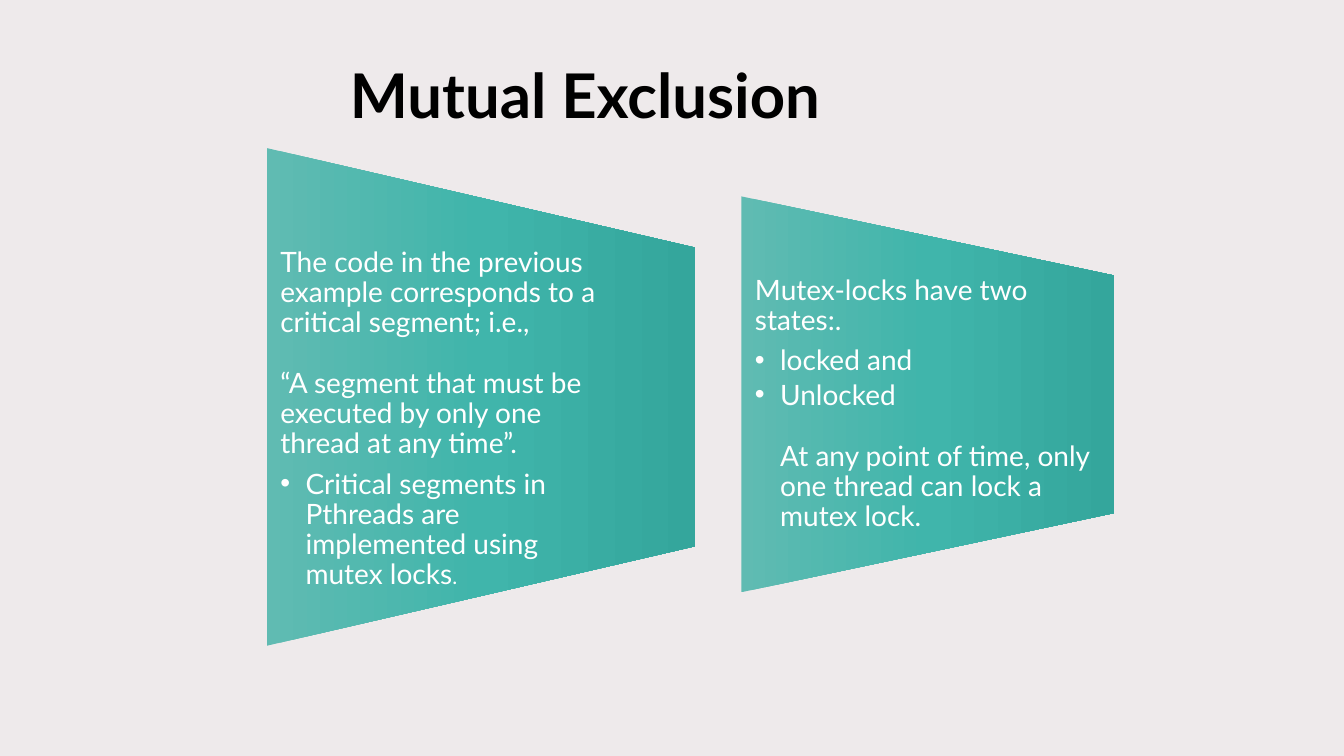
import copy
from dataclasses import dataclass

import lxml.etree
import pptx
import pptx.dml.color
import pptx.enum.dml
import pptx.enum.shapes
import pptx.enum.text
import pptx.oxml.ns
import pptx.util

EMU_PER_PX = 9525
SLIDE_W, SLIDE_H = 1280, 720
FONT = "Lato"
GRADIENT = ((0, "60BBB2"), (0.5, "40B5AB"), (1, "34A69C"))
INDENT = 24
INSET = 13


@dataclass(frozen=True)
class Box:
    left: int
    top: int
    width: int
    height: int


@dataclass(frozen=True)
class Line:
    runs: tuple[tuple[str, int], ...]  # wording and size in points
    indented: bool = False
    bullet: bool = False
    before: int = 0
    after: int = 0


@dataclass(frozen=True)
class Panel:
    trapezoid: Box  # before the quarter turn
    wording: Box
    lines: tuple[Line, ...]


PANELS = (
    Panel(Box(221, 174, 474, 408), Box(254, 236, 343, 284), (
        Line((("The code in the previous example corresponds to a "
               "critical segment; i.e.,", 20),)),
        Line((("“A segment that must be executed by only one thread "
               "at any time”.", 20),), before=22, after=7),
        Line((("Critical segments in Pthreads are implemented using mutex locks", 20),
              (".", 15)), indented=True, bullet=True),
    )),
    Panel(Box(695, 198, 377, 355), Box(706, 263, 355, 227), (
        Line((("Mutex-locks have two states:.", 20),), after=7),
        Line((("locked and", 20),), indented=True, bullet=True, after=3),
        Line((("Unlocked", 20),), indented=True, bullet=True),
        Line((("At any point of time, only one thread can lock a mutex lock.", 20),),
             indented=True, before=22),
    )),
)


def px(length: int) -> pptx.util.Emu:
    return pptx.util.Emu(length * EMU_PER_PX)


def rgb(value: str) -> pptx.dml.color.RGBColor:
    return pptx.dml.color.RGBColor.from_string(value)


def place(shape, box: Box) -> None:
    shape.left, shape.top = px(box.left), px(box.top)
    shape.width, shape.height = px(box.width), px(box.height)


def add_preset(slide, kind, box: Box):
    shape = slide.shapes.add_shape(
        kind, px(box.left), px(box.top), px(box.width), px(box.height))
    shape.shadow.inherit = False
    shape.line.fill.background()
    return shape


def add_backdrop(slide, color: str, opacity: int) -> None:
    backdrop = add_preset(slide, pptx.enum.shapes.MSO_SHAPE.RECTANGLE,
                          Box(0, 0, SLIDE_W, SLIDE_H))
    backdrop.fill.solid()
    backdrop.fill.fore_color.rgb = rgb(color)
    if opacity < 100:
        tint = next(backdrop.element.iter(pptx.oxml.ns.qn("a:srgbClr")))
        lxml.etree.SubElement(tint, pptx.oxml.ns.qn("a:alpha"), val=str(opacity * 1000))


def add_trapezoid(slide, box: Box) -> None:
    trapezoid = add_preset(
        slide, pptx.enum.shapes.MSO_SHAPE.FLOWCHART_MANUAL_OPERATION, box)
    trapezoid.rotation = 270
    trapezoid.fill.gradient()
    trapezoid.fill.gradient_angle = 270
    # The default gradient has two stops; a third is needed
    stop_list = next(trapezoid.element.iter(pptx.oxml.ns.qn("a:gsLst")))
    stop_list.append(copy.deepcopy(stop_list[-1]))
    for stop, (position, color) in zip(trapezoid.fill.gradient_stops, GRADIENT):
        stop.position = position
        stop.color.rgb = rgb(color)


def add_run(paragraph, wording: str, size: int, color: str, bold: bool = False) -> None:
    run = paragraph.add_run()
    run.text = wording
    run.font.name = FONT
    run.font.size = pptx.util.Pt(size)
    run.font.bold = bold
    run.font.color.rgb = rgb(color)


def prepare_frame(placeholder, anchor):
    frame = placeholder.text_frame
    frame.word_wrap = True
    frame.auto_size = pptx.enum.text.MSO_AUTO_SIZE.NONE
    frame.vertical_anchor = anchor
    return frame


def write_line(paragraph, line: Line) -> None:
    properties = paragraph._p.get_or_add_pPr()
    properties.set("marL", str(px(INDENT if line.indented else 0)))
    properties.set("indent", str(px(-INDENT if line.bullet else 0)))
    if line.bullet:
        lxml.etree.SubElement(properties, pptx.oxml.ns.qn("a:buChar"), char="•")
    else:
        lxml.etree.SubElement(properties, pptx.oxml.ns.qn("a:buNone"))
    paragraph.line_spacing = 0.9
    paragraph.space_before = pptx.util.Pt(line.before)
    paragraph.space_after = pptx.util.Pt(line.after)
    for wording, size in line.runs:
        add_run(paragraph, wording, size, "FFFFFF")


def fill_title(slide, title) -> None:
    slide.shapes._spTree.append(title.element)  # bring in front of the backdrop
    place(title, Box(179, 0, 771, 187))
    frame = prepare_frame(title, pptx.enum.text.MSO_ANCHOR.MIDDLE)
    heading = frame.paragraphs[0]
    heading.alignment = pptx.enum.text.PP_ALIGN.CENTER
    heading.line_spacing = 0.9
    add_run(heading, "Mutual Exclusion ", 44, "000000", bold=True)


def fill_panel(slide, body, panel: Panel) -> None:
    add_trapezoid(slide, panel.trapezoid)
    slide.shapes._spTree.append(body.element)  # bring in front of the trapezoid
    place(body, panel.wording)
    frame = prepare_frame(body, pptx.enum.text.MSO_ANCHOR.TOP)
    frame.margin_left = frame.margin_right = px(INSET)
    frame.margin_top = frame.margin_bottom = 0
    for index, line in enumerate(panel.lines):
        paragraph = frame.add_paragraph() if index else frame.paragraphs[0]
        write_line(paragraph, line)


def main() -> None:
    deck = pptx.Presentation()
    deck.slide_width, deck.slide_height = px(SLIDE_W), px(SLIDE_H)
    slide = deck.slides.add_slide(deck.slide_layouts[3])
    title, *bodies = list(slide.placeholders)

    # Background
    add_backdrop(slide, "FFFFFF", 100)
    add_backdrop(slide, "E8E2E3", 70)

    # Content
    fill_title(slide, title)
    for body, panel in zip(bodies, PANELS):
        fill_panel(slide, body, panel)

    deck.save("out.pptx")


if __name__ == "__main__":
    main()
